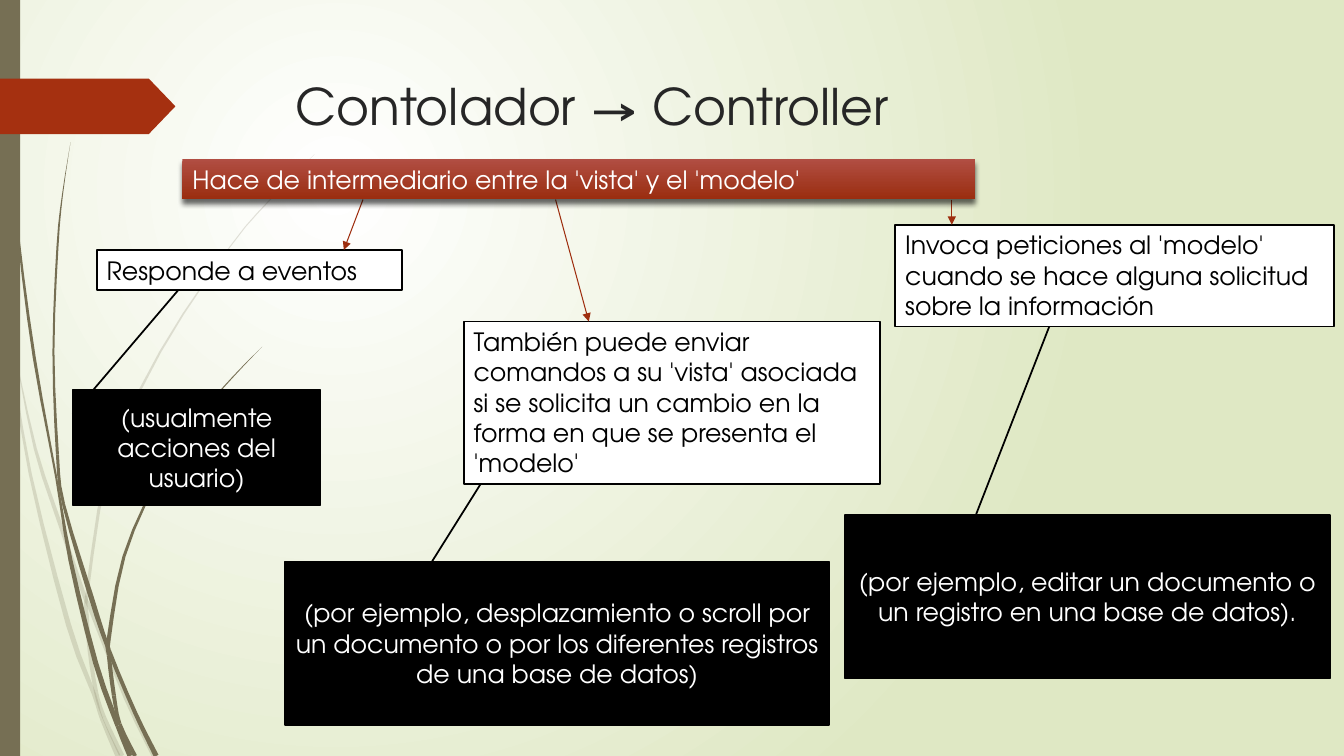
from math import hypot
from lxml.etree import SubElement as Sub
from pptx import Presentation
from pptx.dml.color import RGBColor
from pptx.enum.shapes import MSO_CONNECTOR as Link, MSO_SHAPE as Kind
from pptx.enum.text import MSO_ANCHOR as Anchor, PP_ALIGN as Align
from pptx.oxml.ns import qn
from pptx.util import Emu, Inches, Pt

FONT = "TeX Gyre Adventor"
WIDE, HIGH = Inches(13.33), Inches(7.5)
COLS, ROWS = 133.3, 75
STEPS = 3
OLIVE, RUST, BLACK, WHITE = "766F54", "A53010", "000000", "FFFFFF"


def hue(code):
    return RGBColor.from_string(code)


def cell(box):
    return [Emu(round(n * unit)) for n, unit in zip(box, [WIDE / COLS, HIGH / ROWS] * 2)]


def paint(shape, fill, edge=None):
    shape.shadow.inherit = False
    shape.fill.solid()
    shape.fill.fore_color.rgb = hue(fill)
    if edge:
        shape.line.color.rgb = hue(edge)
        shape.line.width = Pt(1.25)
    else:
        shape.line.fill.background()


def blend(fill, first, last):
    fill.gradient()
    for stop, code, spot in zip(fill.gradient_stops, (first, last), (0, 1)):
        stop.color.rgb = hue(code)
        stop.position = spot


def write(shape, text, size, color, align=Align.LEFT, anchor=Anchor.TOP):
    frame = shape.text_frame
    frame.word_wrap = True
    frame.vertical_anchor = anchor
    frame.text = text
    para = frame.paragraphs[0]
    para.alignment = align
    para.font.name, para.font.size = FONT, Pt(size)
    para.font.color.rgb = hue(color)


def back(slide):
    fill = slide.background.fill
    blend(fill, WHITE, "DFE8C4")
    grad = slide.background._cSld.find(".//" + qn("a:gradFill"))
    grad.remove(grad.find(qn("a:lin")))
    ring = Sub(grad, qn("a:path"), path="circle")
    Sub(ring, qn("a:fillToRect"), l="50000", t="50000", r="100000", b="100000")


def curve(knots):
    ends = [knots[0], *knots, knots[-1]]
    for a, b, c, d in zip(ends, ends[1:], ends[2:], ends[3:]):
        for t in (n / STEPS for n in range(STEPS)):
            yield [(2 * q + (r - p) * t + (2 * p - 5 * q + 4 * r - s) * t ** 2
                    + (3 * q - p - 3 * r + s) * t ** 3) / 2
                   for p, q, r, s in zip(a, b, c, d)]
    yield knots[-1]


def piece(slide, rim, clear):
    pen = slide.shapes.build_freeform(*rim[0])
    pen.add_line_segments(rim[1:])
    shape = pen.convert_to_shape()
    paint(shape, OLIVE)
    if clear:
        tint = shape._element.spPr.find(".//" + qn("a:srgbClr"))
        Sub(tint, qn("a:alpha"), val="20000")


def blade(slide, box, cuts, knots, clear):
    left, top = box[:2]
    mid = list(curve(knots))
    sides = [[], []]
    for n, (x, y, thick) in enumerate(mid):
        a, b = mid[max(n - 1, 0)], mid[min(n + 1, len(mid) - 1)]
        dx, dy = b[0] - a[0], b[1] - a[1]
        half = thick / 2 / (hypot(dx, dy) or 1)
        for side, sign in zip(sides, (1, -1)):
            side.append(cell((left + x - sign * dy * half, top + y + sign * dx * half)))
    joints = [0, *cuts, len(knots) - 1]
    for a, b in zip(joints, joints[1:]):
        near, far = (side[a * STEPS:b * STEPS + 1] for side in sides)
        piece(slide, near + far[::-1], clear)


def side(slide, box):
    left, top, width, height = box
    for cuts, knots in PALE:
        blade(slide, box, cuts, knots, True)
    for cuts, knots in DARK:
        blade(slide, box, cuts, knots, False)
    bar = slide.shapes.add_shape(Kind.RECTANGLE, *cell((left, top, 2, height)))
    paint(bar, OLIVE)
    flag = slide.shapes.add_shape(Kind.PENTAGON, *cell((left, top + 7.8, width, 5.5)))
    flag.adjustments[0] = 0.48
    paint(flag, RUST)


def head(slide, box):
    title = slide.shapes.title
    title.left, title.top, title.width, title.height = cell(box)
    write(title, "Contolador → Controller", 36, "262626")


def banner(slide, box):
    shape = slide.shapes.add_shape(Kind.RECTANGLE, *cell(box))
    paint(shape, RUST)
    blend(shape.fill, "B14E43", "9A2D0F")
    shape.fill.gradient_angle = 270
    glow = shape._element.spPr.find(qn("a:effectLst"))
    cast = Sub(glow, qn("a:outerShdw"), blurRad=str(Pt(4)), dist=str(Pt(3)),
               dir="5400000", rotWithShape="0")
    tint = Sub(cast, qn("a:srgbClr"), val=BLACK)
    Sub(tint, qn("a:alpha"), val="60000")
    write(shape, "Hace de intermediario entre la 'vista' y el 'modelo'", 18, WHITE)


def arrow(slide, start, end):
    line = slide.shapes.add_connector(Link.STRAIGHT, *cell(start), *cell(end))
    line.line.color.rgb = hue("9E2E0F")
    line.line.width = Pt(0.75)
    Sub(line.line._get_or_add_ln(), qn("a:tailEnd"), type="triangle")
    Sub(line._element.spPr, qn("a:effectLst"))


def branch(slide, box, text, start, tip, spot, bends, note):
    call = slide.shapes.add_shape(Kind.LINE_CALLOUT_1, *cell(spot))
    for n, bend in enumerate(bends):
        call.adjustments[n] = bend
    paint(call, BLACK, BLACK)
    write(call, note, 18, WHITE, Align.CENTER, Anchor.MIDDLE)
    call.text_frame.margin_left = call.text_frame.margin_right = Inches(0.08)
    card = slide.shapes.add_shape(Kind.RECTANGLE, *cell(box))
    paint(card, WHITE, BLACK)
    write(card, text, 18, BLACK)
    arrow(slide, (start, BAND[1] + BAND[3]), (tip, box[1]))


PALE = [
    ((1, 5), [(0, 29, .3), (1, 34.7, .2), (3, 47, .3), (6.8, 62, .5), (9.3, 68.8, .4),
              (10.1, 71.4, .3), (11.7, 75, .5)]),
    ((3, 4), [(1.4, 34.5, 0), (3.5, 44.5, .3), (6, 52.1, .4), (8.4, 59.2, .4),
              (9, 60.5, .4), (12.5, 69.3, .4), (15.3, 75, .5)]),
    ((5, 6, 8, 9), [(31.2, 15.3, 0), (26.8, 19.8, .1), (22.8, 24.5, .1),
                    (15.9, 34.9, .2), (10.8, 46.2, .3), (8.7, 58.4, .3),
                    (8.6, 61, .4), (8.9, 64.6, .4), (9.5, 68.5, .4),
                    (10.3, 71.1, .4), (12.1, 75, .5)])]
DARK = [
    ((4, 7), [(.4, 0, .1), (.7, 11, .1), (1.8, 23.3, .2), (3.4, 35.5, .3),
              (5.6, 47.5, .2), (7, 55.6, .4), (9.5, 65.8, .5), (11.7, 72, .5),
              (12.9, 75, .5)]),
    ((4, 5, 7), [(7, 14.1, 0), (6.2, 19.3, .1), (5.7, 24.5, .2), (5.3, 34.9, .2),
                 (5.7, 45.1, .3), (6.3, 50, .3), (9, 59.1, .5), (10.8, 64.5, .4),
                 (13.4, 70.7, .4), (15.5, 75, .5)]),
    ((5, 6, 7, 8), [(26, 34.4, 0), (23.1, 37.4, .1), (20.4, 40.6, .1),
                    (15.7, 47.5, .2), (12.3, 55.2, .3), (10.8, 63.3, .4),
                    (10.8, 65, .4), (11.3, 69, .4), (11.9, 71.8, .3),
                    (13.4, 75, .4)])]
BAND = (18.1, 15.8, 78.6, 4)
PARTS = [
    ((88.8, 22.3, 43.5, 10.1),
     "Invoca peticiones al 'modelo' cuando se hace alguna solicitud sobre la información",
     94.4, 94.4, (83.8, 51.1, 48.1, 16.2), (0, .27, -1.22, .43),
     "(por ejemplo, editar un documento o un registro en una base de datos)."),
    ((46, 31.9, 41.3, 16.1),
     "También puede enviar comandos a su 'vista' asociada si se solicita un cambio "
     "en la forma en que se presenta el 'modelo'",
     55.1, 58.4, (28.3, 55.7, 53.9, 16.2), (0, .27, -.69, .4),
     "(por ejemplo, desplazamiento o scroll por un documento o por los diferentes "
     "registros de una base de datos)"),
    ((9.6, 24.8, 30.3, 4), "Responde a eventos",
     36, 34.1, (7.2, 38.7, 24.6, 11.4), (.21, 0, -.93, .45),
     "(usualmente acciones del usuario)")]

deck = Presentation()
deck.slide_width, deck.slide_height = WIDE, HIGH
page = deck.slides.add_slide(deck.slide_layouts[5])
back(page)
side(page, (0, 0, 17.4, ROWS))
head(page, (28.3, 6.9, 97.5, 14))
for part in PARTS:
    branch(page, *part)
banner(page, BAND)
deck.save("out.pptx")
